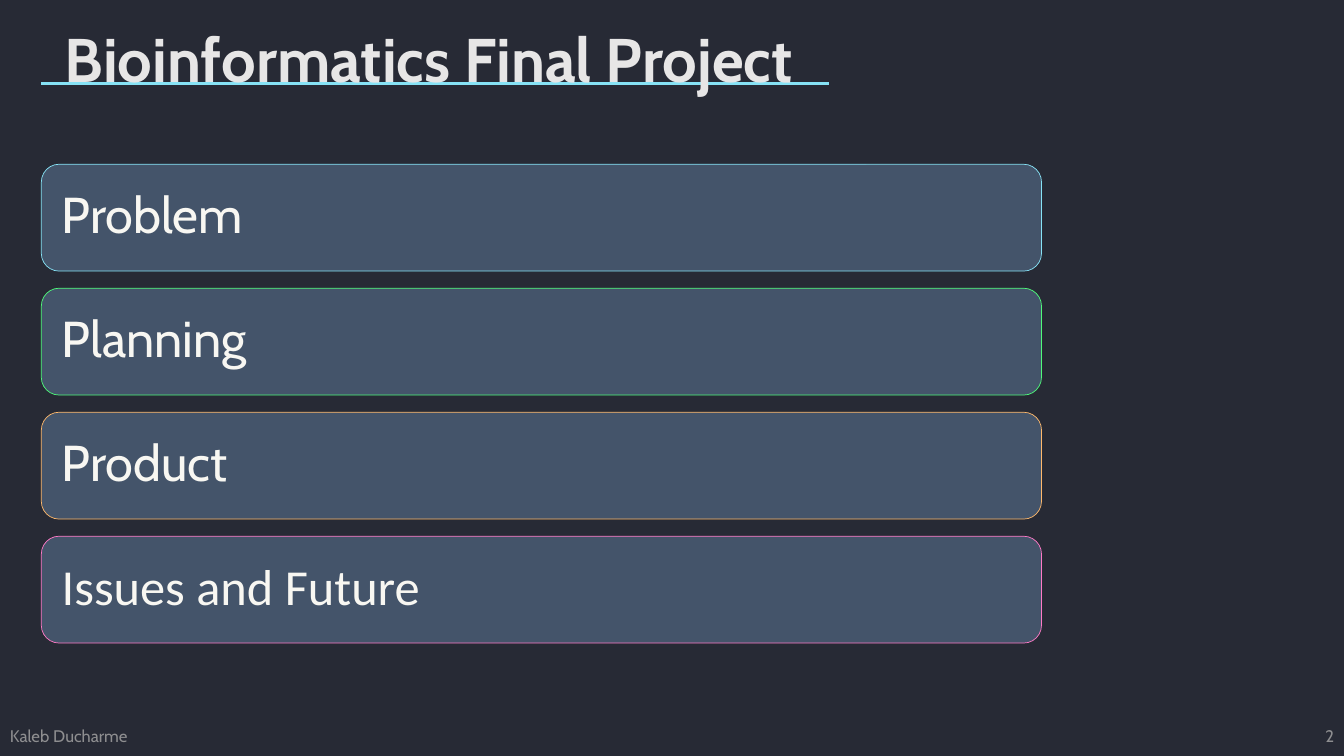
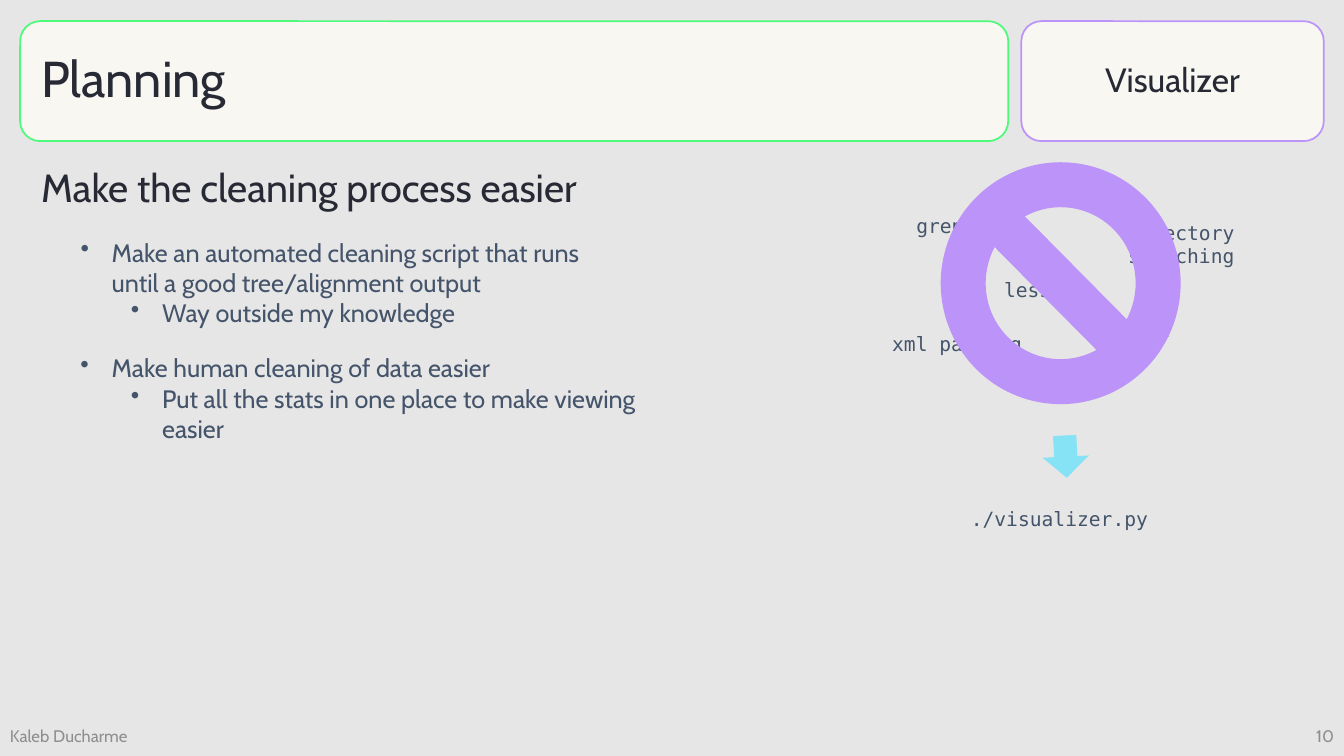
from lxml.etree import SubElement
from pptx import Presentation
from pptx.dml.color import RGBColor
from pptx.enum.shapes import MSO_CONNECTOR, MSO_SHAPE
from pptx.enum.text import MSO_ANCHOR, PP_ALIGN
from pptx.oxml.ns import qn
from pptx.util import Pt

PX = 9144  # 100 px to the inch

DARK = RGBColor(0x27, 0x2A, 0x35)
LIGHT = RGBColor(0xE7, 0xE6, 0xE6)
CREAM = RGBColor(0xF8, 0xF7, 0xF2)
SLATE = RGBColor(0x44, 0x54, 0x6A)
GREY = RGBColor(0x8E, 0x8E, 0x90)
CYAN = RGBColor(0x86, 0xE2, 0xF5)
GREEN = RGBColor(0x4E, 0xFA, 0x7A)
ORANGE = RGBColor(0xFE, 0xB8, 0x6B)
PINK = RGBColor(0xFE, 0x79, 0xC6)
PURPLE = RGBColor(0xBC, 0x93, 0xF9)

SANS = "Cabin"
MONO = "DejaVu Sans Mono"
LEFT, MID, RIGHT = PP_ALIGN.LEFT, PP_ALIGN.CENTER, PP_ALIGN.RIGHT


def write(slide, area, lines, size, color, font=SANS, align=LEFT,
          anchor=MSO_ANCHOR.TOP, bold=False, shape=None, inset=None, space=None):
    """Put lines into the given shape, or into a new text box at area."""
    if shape is None:
        shape = slide.shapes.add_textbox(*[n * PX for n in area])
    frame = shape.text_frame
    frame.word_wrap = True
    frame.vertical_anchor = anchor
    if inset is not None:
        frame.margin_left = frame.margin_right = inset * PX
        frame.margin_top = frame.margin_bottom = inset * PX
    for i, line in enumerate(lines):
        para = frame.paragraphs[0] if i == 0 else frame.add_paragraph()
        para.alignment = align
        if space:
            para.line_spacing = space
        run = para.add_run()
        run.text = line
        run.font.name = font
        run.font.size = Pt(size)
        run.font.bold = bold
        run.font.color.rgb = color
    return frame


def draw(slide, kind, area, fill, line=None, width=0):
    shape = slide.shapes.add_shape(kind, *[n * PX for n in area])
    shape.shadow.inherit = False
    shape.fill.solid()
    shape.fill.fore_color.rgb = fill
    if line is None:
        shape.line.fill.background()
    else:
        shape.line.color.rgb = line
        shape.line.width = Pt(width)
    return shape


deck = Presentation()
deck.slide_width = 1333 * PX
deck.slide_height = 750 * PX

pages = []
for back, number in ((DARK, "2"), (LIGHT, "10")):
    page = deck.slides.add_slide(deck.slide_layouts[6])
    page.background.fill.solid()
    page.background.fill.fore_color.rgb = back
    write(page, (0, 710, 450, 40), ["Kaleb Ducharme"], 12, GREY,
          anchor=MSO_ANCHOR.MIDDLE)
    write(page, (1033, 710, 300, 40), [number], 12, GREY, align=RIGHT,
          anchor=MSO_ANCHOR.MIDDLE)
    pages.append(page)
agenda, plan = pages

# Agenda
rule = agenda.shapes.add_connector(
    MSO_CONNECTOR.STRAIGHT, 41 * PX, 83 * PX, 822 * PX, 83 * PX)
rule.line.color.rgb = CYAN
rule.line.width = Pt(2.25)
SubElement(rule._element.spPr, qn("a:effectLst"))
write(agenda, (28, 0, 795, 100), ["Bioinformatics Final Project"], 44, LIGHT,
      align=MID, anchor=MSO_ANCHOR.BOTTOM, bold=True, space=0.9)

topics = (("Problem", CYAN, SANS), ("Planning", GREEN, SANS),
          ("Product", ORANGE, SANS), ("Issues and Future", PINK, "Calibri"))
for i, (topic, edge, font) in enumerate(topics):
    bar = draw(agenda, MSO_SHAPE.ROUNDED_RECTANGLE,
               (41, 163 + 123 * i, 992, 106), SLATE, edge, 0.5)
    write(agenda, None, [topic], 36, CREAM, font, anchor=MSO_ANCHOR.MIDDLE,
          shape=bar, inset=15, space=0.9)

# Planning
heads = (("Planning", 20, 980, GREEN, 36, LEFT, 15),
         ("Visualizer", 1013, 300, PURPLE, 24, MID, 10))
for head, left, wide, edge, size, align, inset in heads:
    card = draw(plan, MSO_SHAPE.ROUNDED_RECTANGLE, (left, 21, wide, 119),
                CREAM, edge, 1.25)
    write(plan, None, [head], size, DARK, align=align,
          anchor=MSO_ANCHOR.MIDDLE, shape=card, inset=inset, space=0.9)

write(plan, (31, 157, 792, 57), ["Make the cleaning process easier"], 28, DARK)

goals = (
    (230, 571, ("Make an automated cleaning script that runs until a good "
                "tree/alignment output", "Way outside my knowledge")),
    (345, 667, ("Make human cleaning of data easier",
                "Put all the stats in one place to make viewing easier")),
)
for top, wide, lines in goals:
    frame = write(plan, (20, top, wide, 101), lines, 18, SLATE)
    for level, para in enumerate(frame.paragraphs, 1):
        para.level = level
        props = para._p.get_or_add_pPr()
        props.set("marL", str((31 + 50 * level) * PX))
        props.set("indent", str(-31 * PX))
        SubElement(props, qn("a:buChar"), char="•")

tools = (("grep", 899, 207, 96, 34), ("cut", 1116, 311, 96, 34),
         ("less", 986, 271, 96, 34),
         ("Directory searching", 1109, 214, 131, 57),
         ("xml parsing", 875, 324, 159, 34),
         ("./visualizer.py", 953, 498, 208, 34))
for tool, *area in tools:
    write(plan, area, [tool], 14, SLATE, MONO)

draw(plan, MSO_SHAPE.NO_SYMBOL, (933, 161, 238, 240), PURPLE)
arrow = draw(plan, MSO_SHAPE.RIGHT_ARROW, (1036, 430, 42, 46), CYAN)
arrow.rotation = 87.1

deck.save("out.pptx")
